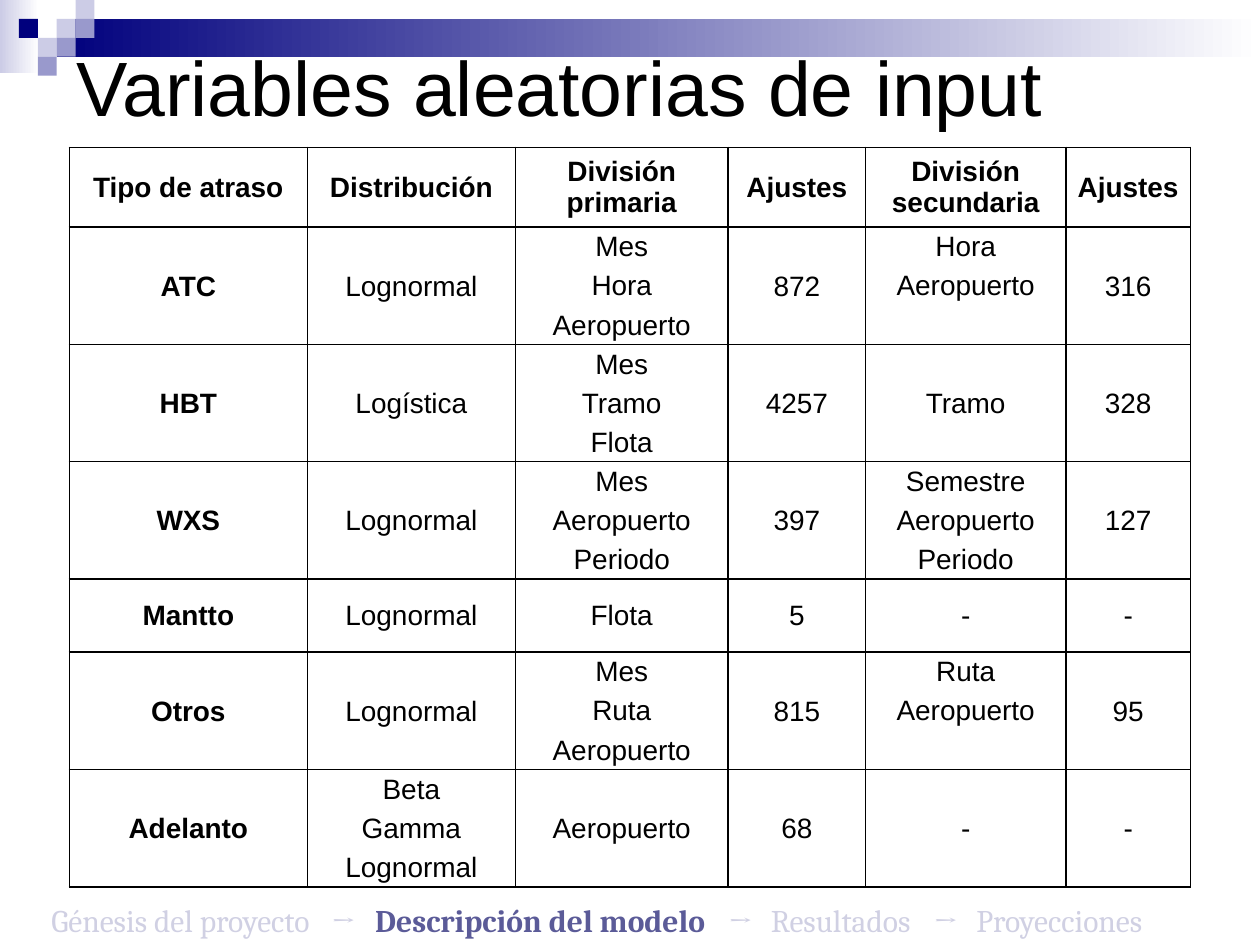
from lxml import etree
from pptx import Presentation
from pptx import util as u
from pptx.dml.color import RGBColor
from pptx.enum import shapes, text
from pptx.oxml import ns

COLORS = {"ink": "000000", "paper": "FFFFFF", "navy": "00007D", "lilac": "CCCCE6",
          "violet": "9999CC", "faded": "D0D0E3", "current": "5B5B98"}

COLUMNS = [1.89, 1.65, 1.69, 1.09, 1.59, 0.99]
HEADINGS = ["Tipo de atraso", "Distribución", "División primaria", "Ajustes",
            "División secundaria", "Ajustes"]
# Each entry is (row heights, cells); a list takes one row per item, a string spans them all
DELAYS = [
    ([0.31] * 3, ["ATC", "Lognormal", ["Mes", "Hora", "Aeropuerto"], "872",
                  ["Hora", "Aeropuerto", ""], "316"]),
    ([0.31] * 3, ["HBT", "Logística", ["Mes", "Tramo", "Flota"], "4257", "Tramo", "328"]),
    ([0.31] * 3, ["WXS", "Lognormal", ["Mes", "Aeropuerto", "Periodo"], "397",
                  ["Semestre", "Aeropuerto", "Periodo"], "127"]),
    ([0.58], ["Mantto", "Lognormal", "Flota", "5", "-", "-"]),
    ([0.31] * 3, ["Otros", "Lognormal", ["Mes", "Ruta", "Aeropuerto"], "815",
                  ["Ruta", "Aeropuerto", ""], "95"]),
    ([0.31] * 3, ["Adelanto", ["Beta", "Gamma", "Lognormal"], "Aeropuerto", "68", "-", "-"]),
]
# Sections and the arrows between them, with the tab stop before each one
SECTIONS = [("Génesis del proyecto", None), ("→", 2.22), ("Descripción del modelo", 2.57),
            ("→", 5.37), ("Resultados", 5.71), ("→", 7), ("Proyecciones", 7.34)]
CURRENT = "Descripción del modelo"


def rgb(name):
    return RGBColor.from_string(COLORS[name])


def add_span(para, words, size, font, color, bold=False):
    span = para.add_run()
    span.text = words
    span.font.size = u.Pt(size)
    span.font.name = font
    span.font.bold = bold
    span.font.color.rgb = rgb(color)


def add_block(page, left, top, width, height, *colors):
    """A plain rectangle: one colour is solid, two make a left-to-right gradient."""
    block = page.shapes.add_shape(shapes.MSO_SHAPE.RECTANGLE, u.Inches(left), u.Inches(top),
                                  u.Inches(width), u.Inches(height))
    block.shadow.inherit = False
    block.line.fill.background()
    if len(colors) == 1:
        block.fill.solid()
        block.fill.fore_color.rgb = rgb(colors[0])
        return
    block.fill.gradient()
    block.fill.gradient_angle = 0
    for stop, color in zip(block.fill.gradient_stops, colors):
        stop.color.rgb = rgb(color)


def add_banner(page, left, top, width):
    side = 0.15
    add_block(page, left, top, 0.31, 0.58, "lilac", "paper")
    add_block(page, left + 0.45, top + side, width - 0.45, 2 * side, "navy", "paper")
    # Squares by column and row of the mosaic
    for column, row, color in [(3, 1, "lilac"), (4, 0, "lilac"), (4, 1, "violet"),
                               (2, 2, "lilac"), (1, 1, "navy"), (3, 2, "violet"),
                               (2, 3, "violet")]:
        add_block(page, left + column * side, top + row * side, side, side, color)


def add_text_box(page, left, top, width, height):
    box = page.shapes.add_textbox(u.Inches(left), u.Inches(top),
                                  u.Inches(width), u.Inches(height))
    box.text_frame.word_wrap = True
    return box.text_frame


def add_title(page, left, top, width, height):
    frame = add_text_box(page, left, top, width, height)
    frame.vertical_anchor = text.MSO_ANCHOR.MIDDLE
    para = frame.paragraphs[0]
    para.line_spacing = 0.8
    add_span(para, "Variables aleatorias de input", 44, "Arial", "ink")


def set_borders(cell, drawn):
    """Draw the named sides (L, R, T, B) in black and hide the others."""
    props = cell._tc.get_or_add_tcPr()
    for index, side in enumerate("LRTB"):
        line = etree.Element(ns.qn(f"a:ln{side}"), w=str(u.Pt(1)))
        if side in drawn:
            fill = etree.SubElement(line, ns.qn("a:solidFill"))
            etree.SubElement(fill, ns.qn("a:srgbClr"), val=COLORS["ink"])
        else:
            etree.SubElement(line, ns.qn("a:noFill"))
        props.insert(index, line)


def fill_cell(cell, words, bold, drawn):
    cell.margin_left = cell.margin_right = cell.margin_top = u.Inches(0.01)
    cell.margin_bottom = 0
    cell.vertical_anchor = text.MSO_ANCHOR.MIDDLE
    cell.fill.solid()
    cell.fill.fore_color.rgb = rgb("paper")
    set_borders(cell, drawn)
    para = cell.text_frame.paragraphs[0]
    para.alignment = text.PP_ALIGN.CENTER
    if words:
        add_span(para, words, 16, "Arial", "ink", bold)


def add_delay_table(page, left, top, width):
    groups = [([0.63], HEADINGS)] + DELAYS
    heights = [height for rows, _ in groups for height in rows]
    frame = page.shapes.add_table(len(heights), len(COLUMNS), u.Inches(left), u.Inches(top),
                                  u.Inches(width), u.Inches(sum(heights)))
    table = frame.table
    table.first_row = table.horz_banding = False
    for column, size in zip(table.columns, COLUMNS):
        column.width = u.Inches(size)
    for row, height in zip(table.rows, heights):
        row.height = u.Inches(height)

    start = 0
    for rows, cells in groups:
        last = len(rows) - 1
        for column, content in enumerate(cells):
            stacked = isinstance(content, list)
            lines = content if stacked else [content] + [""] * last
            for offset, words in enumerate(lines):
                drawn = "LR"
                if offset == 0 or not stacked:
                    drawn += "T"
                if offset == last or not stacked:
                    drawn += "B"
                fill_cell(table.cell(start + offset, column), words,
                          start == 0 or column == 0, drawn)
            if last and not stacked:
                table.cell(start, column).merge(table.cell(start + last, column))
        start += len(rows)


def add_progress(page, left, top, width, height):
    frame = add_text_box(page, left, top, width, height)
    para = frame.paragraphs[0]
    stops = etree.SubElement(para._p.get_or_add_pPr(), ns.qn("a:tabLst"))
    for words, stop in SECTIONS:
        if stop is not None:
            etree.SubElement(stops, ns.qn("a:tab"), pos=str(u.Inches(stop)), algn="l")
            words = "\t" + words
        here = words.strip() == CURRENT
        add_span(para, words, 18, "Cambria", "current" if here else "faded", here)


def build_slide(deck):
    page = deck.slides.add_slide(deck.slide_layouts[6])
    add_banner(page, 0, 0, 10)
    add_delay_table(page, 0.55, 1.17, sum(COLUMNS))
    add_title(page, 0.51, 0, 9, 1.5)
    add_progress(page, 0.31, 7.1, 9.5, 0.4)


deck = Presentation()
deck.slide_width = u.Inches(10)
deck.slide_height = u.Inches(7.5)
build_slide(deck)
deck.save("out.pptx")
